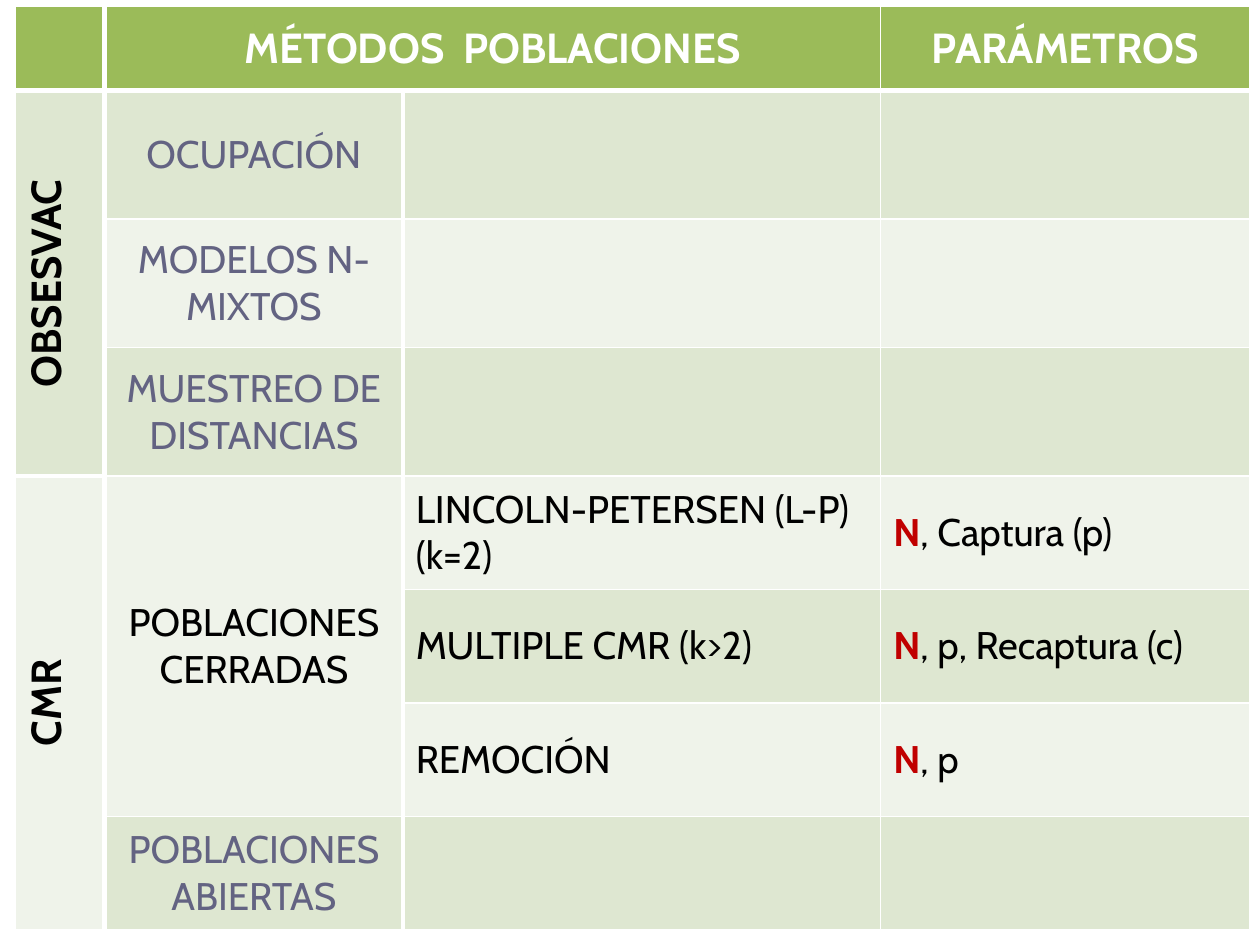
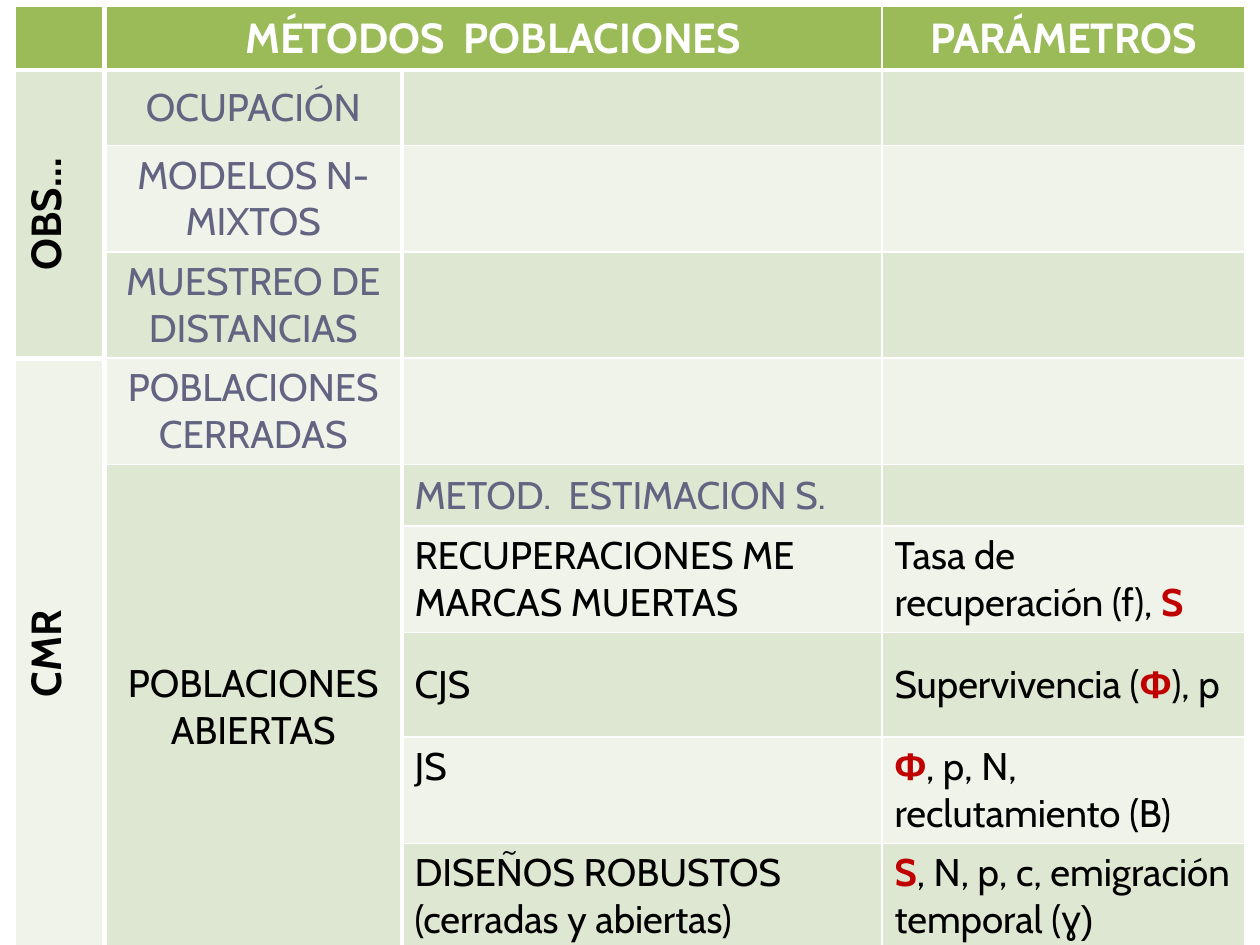
from pptx import Presentation
from pptx import util as u
from pptx.dml.color import RGBColor
from pptx.enum import text
from pptx.oxml.ns import qn
from lxml import etree

COLOURS = {
    "header": "9BBB59", "odd": "DEE7D1", "even": "EFF3EA", "line": "FFFFFF",
    "white": "FFFFFF", "ink": "000000", "muted": "636382", "key": "C00000",
}
FONT, SYMBOL_FONT = "Cabin", "Arial"
HEADING_SIZE, BODY_SIZE = 24, 22
THIN, THICK = 1, 3
KEY_PARAMETERS = {"N", "S", "Φ"}
SYMBOLS = ("Φ", "ɣ")

# Each group: label, then (method, [(variant, parameter runs), ...])
OBSERVATION_METHODS = [
    ("OCUPACIÓN", [("", ())]),
    ("MODELOS N-MIXTOS", [("", ())]),
    ("MUESTREO DE DISTANCIAS", [("", ())]),
]
CLOSED_GROUPS = [
    ("OBSESVAC", OBSERVATION_METHODS),
    ("CMR", [
        ("POBLACIONES CERRADAS", [
            ("LINCOLN-PETERSEN (L-P)  (k=2)", ("N", ", Captura (p)")),
            ("MULTIPLE CMR (k>2)", ("N", ", p, Recaptura (c)")),
            ("REMOCIÓN", ("N", ", p")),
        ]),
        ("POBLACIONES ABIERTAS", [("", ())]),
    ]),
]
OPEN_GROUPS = [
    ("OBS…", OBSERVATION_METHODS),
    ("CMR", [
        ("POBLACIONES CERRADAS", [("", ())]),
        ("POBLACIONES ABIERTAS", [
            ("METOD.  ESTIMACION S.", ()),
            ("RECUPERACIONES ME MARCAS MUERTAS",
             ("Tasa de recuperación (f), ", "S")),
            ("CJS", ("Supervivencia (", "Φ", "), p")),
            ("JS", ("Φ", ", p, N, reclutamiento (B)")),
            ("DISEÑOS ROBUSTOS (cerradas y abiertas)",
             ("S", ", N, p, c, emigración temporal (", "ɣ)")),
        ]),
    ]),
]


def rgb(name):
    return RGBColor.from_string(COLOURS[name])


def set_borders(cell, widths):
    """Draw the left, right, top and bottom lines of a cell."""
    properties = cell._tc.get_or_add_tcPr()
    for side, width in zip("LRTB", widths):
        line = etree.SubElement(properties, qn(f"a:ln{side}"), w=str(u.Pt(width)))
        fill = etree.SubElement(line, qn("a:solidFill"))
        etree.SubElement(fill, qn("a:srgbClr"), val=COLOURS["line"])


def style_grid(table, group_starts):
    """Banded rows, with heavy lines below the header and beside the labels."""
    for row_index, row in enumerate(table.rows):
        band = "header" if row_index == 0 else "odd" if row_index % 2 else "even"
        for column, cell in enumerate(row.cells):
            def heavy(edge):
                return edge == 1 or (column == 0 and edge in group_starts)
            set_borders(cell, [THICK if is_heavy else THIN for is_heavy in (
                column == 1 or (column == 2 and row_index > 0),
                column == 0 or (column == 1 and row_index > 0),
                heavy(row_index), heavy(row_index + 1))])
            cell.fill.solid()
            cell.fill.fore_color.rgb = rgb(band)
            cell.vertical_anchor = text.MSO_ANCHOR.MIDDLE


def write_cell(cell, runs, colour="ink", heading=False, centred=True):
    paragraph = cell.text_frame.paragraphs[0]
    paragraph.alignment = text.PP_ALIGN.CENTER if centred else text.PP_ALIGN.LEFT
    for content in runs:
        run = paragraph.add_run()
        run.text = content
        is_key = content in KEY_PARAMETERS
        run.font.name = SYMBOL_FONT if content.startswith(SYMBOLS) else FONT
        run.font.size = u.Pt(HEADING_SIZE if heading else BODY_SIZE)
        run.font.bold = heading or is_key
        run.font.color.rgb = rgb("key" if is_key else colour)


def merge_down(table, row, column, count):
    cell = table.cell(row, column)
    if count > 1:
        cell.merge(table.cell(row + count - 1, column))
    return cell


def fill_header(table):
    table.cell(0, 1).merge(table.cell(0, 2))
    for column, title in ((1, "MÉTODOS  POBLACIONES"), (3, "PARÁMETROS")):
        write_cell(table.cell(0, column), [title], "white", heading=True)


def fill_group(table, row, label, methods):
    """Write one group from the given row and return the row after it."""
    count = sum(len(variants) for _, variants in methods)
    label_cell = merge_down(table, row, 0, count)
    label_cell._tc.get_or_add_tcPr().set("vert", "vert270")
    write_cell(label_cell, [label], heading=True)
    for method, variants in methods:
        described = any(parameters for _, parameters in variants)
        write_cell(merge_down(table, row, 1, len(variants)), [method],
                   "ink" if described else "muted")
        for variant, parameters in variants:
            if variant:
                write_cell(table.cell(row, 2), [variant],
                           "ink" if parameters else "muted", centred=False)
            if parameters:
                write_cell(table.cell(row, 3), parameters, centred=False)
            row += 1
    return row


def add_methods_slide(presentation, box, column_widths, row_heights, groups,
                      top_rows=()):
    slide = presentation.slides.add_slide(presentation.slide_layouts[6])
    table = slide.shapes.add_table(len(row_heights), len(column_widths),
                                   *map(u.Inches, box)).table
    for column, width in zip(table.columns, column_widths):
        column.width = u.Inches(width)
    for row, height in zip(table.rows, row_heights):
        row.height = u.Inches(height)

    group_starts, next_row = [], 1
    for _, methods in groups:
        group_starts.append(next_row)
        next_row += sum(len(variants) for _, variants in methods)
    style_grid(table, group_starts)

    fill_header(table)
    for start, (label, methods) in zip(group_starts, groups):
        fill_group(table, start, label, methods)
    for row in top_rows:
        for column in (2, 3):
            table.cell(row, column).vertical_anchor = text.MSO_ANCHOR.TOP


def main():
    presentation = Presentation()
    presentation.slide_width, presentation.slide_height = u.Inches(10), u.Inches(7.5)
    # Closed populations
    add_methods_slide(presentation, (0.12, 0.05, 9.8, 7.33),
                      (0.71, 2.37, 3.79, 2.93),
                      [0.67] + [1.02] * 3 + [0.9] * 4, CLOSED_GROUPS)
    # Open populations
    add_methods_slide(presentation, (0.12, 0.05, 9.76, 7.43),
                      (0.71, 2.36, 3.81, 2.88),
                      [0.47, 0.6, 0.69, 0.64, 0.78, 0.49] + [0.83] * 4,
                      OPEN_GROUPS, top_rows=(8, 9))
    presentation.save("out.pptx")


if __name__ == "__main__":
    main()
